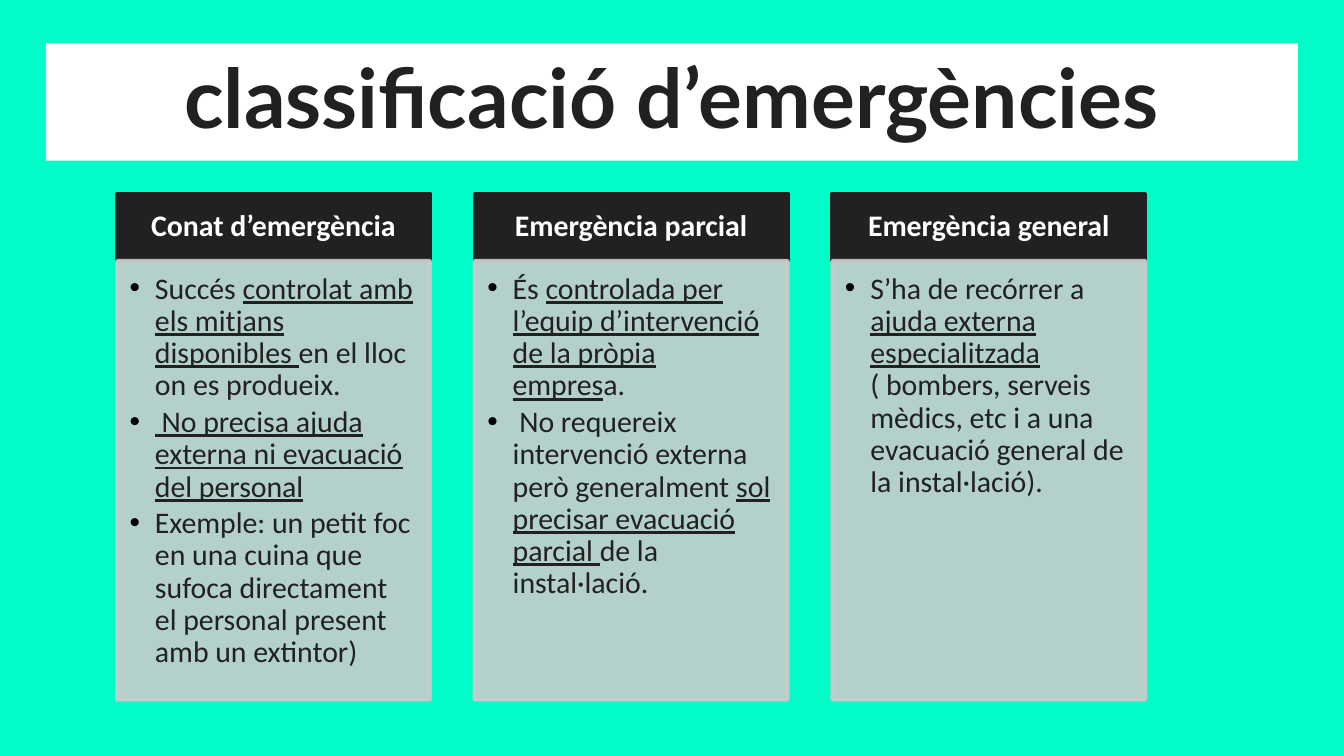
from dataclasses import dataclass

from lxml.etree import SubElement
from pptx import Presentation
from pptx.dml.color import RGBColor
from pptx.enum.shapes import MSO_SHAPE
from pptx.enum.text import MSO_ANCHOR, PP_ALIGN
from pptx.oxml.ns import qn
from pptx.util import Cm, Pt


@dataclass(frozen=True)
class Theme:
    """Hold the colours, fonts and type sizes of the slide."""
    back: str = "00FDC8"
    paper: str = "FFFFFF"
    ink: str = "212121"
    panel: str = "CBCBCB"
    bullet: str = "000000"
    alpha: int = 89
    title: tuple = ("Lato", 44)
    text: tuple = ("Calibri", 16)


def assign(target, values):
    """Set each attribute of the target from a dict."""
    for name, value in values.items():
        setattr(target, name, value)


class Canvas:
    """Draw elements on one slide in one theme."""

    def __init__(self, slide, theme):
        """Keep the slide and theme, and paint the background."""
        self.slide, self.theme = slide, theme
        fill = slide.background.fill
        fill.solid()
        fill.fore_color.rgb = RGBColor.from_string(theme.back)

    def box(self, place, color, inset, line=True, alpha=100):
        """Add a flat rectangle and return it."""
        shape = self.slide.shapes.add_shape(MSO_SHAPE.RECTANGLE, *map(Cm, place))
        shape.shadow.inherit = False
        rgb = RGBColor.from_string(color)
        shape.fill.solid()
        shape.fill.fore_color.rgb = rgb
        if line:
            shape.line.color.rgb = rgb
            shape.line.width = Pt(2)
        else:
            shape.line.fill.background()
        if alpha < 100:
            for node in shape.element.spPr.iter(qn("a:srgbClr")):
                SubElement(node, qn("a:alpha"), val=str(alpha * 1000))
        sides = ("margin_left", "margin_top", "margin_right", "margin_bottom")
        assign(shape.text_frame, dict(zip(sides, map(Cm, inset)), word_wrap=True))
        return shape

    def phrase(self, para, text, style, color, **extra):
        """Add one styled run to a paragraph."""
        run = para.add_run()
        run.text = text
        face, size = style
        assign(run.font, {"name": face, "size": Pt(size), **extra})
        run.font.color.rgb = RGBColor.from_string(color)

    def label(self, place, text, fill, color, style, inset, line=True):
        """Add a rectangle with one bold centred line."""
        frame = self.box(place, fill, inset, line).text_frame
        frame.vertical_anchor = MSO_ANCHOR.MIDDLE
        para = frame.paragraphs[0]
        assign(para, {"alignment": PP_ALIGN.CENTER, "line_spacing": 0.9})
        self.phrase(para, text, style, color, bold=True)

    def points(self, place, items):
        """Add a translucent panel of bullets, underlining text between bars."""
        theme = self.theme
        inset = (0.24, 0.24, 0.32, 0.36)
        frame = self.box(place, theme.panel, inset, alpha=theme.alpha).text_frame
        frame.vertical_anchor = MSO_ANCHOR.TOP
        for rank, item in enumerate(items):
            para = frame.add_paragraph() if rank else frame.paragraphs[0]
            assign(para, {"alignment": PP_ALIGN.LEFT, "level": 1, "line_spacing": 0.9,
                          "space_before": Pt(2.4 if rank else 0)})
            self.mark(para)
            for turn, part in enumerate(item.split("|")):
                if part:
                    self.phrase(para, part, theme.text, theme.ink, underline=turn % 2 == 1)

    def mark(self, para):
        """Give a paragraph a hanging round bullet."""
        node = para._p.get_or_add_pPr()
        node.set("marL", str(Cm(0.48)))
        node.set("indent", str(-Cm(0.48)))
        tint = SubElement(node, qn("a:buClr"))
        SubElement(tint, qn("a:srgbClr"), val=self.theme.bullet)
        SubElement(node, qn("a:buFont"), typeface="Arial")
        SubElement(node, qn("a:buChar"), char="•")


COLUMNS = {
    "Conat d’emergència": [
        "Succés |controlat amb els mitjans disponibles |en el lloc on es produeix.",
        "| No precisa ajuda externa ni evacuació del personal|",
        "Exemple: un petit foc en una cuina que sufoca directament "
        "el personal present amb un extintor)",
    ],
    "Emergència parcial": [
        "És |controlada per l’equip d’intervenció de la pròpia empres|a.",
        " No requereix intervenció externa però generalment "
        "|sol precisar evacuació parcial |de la instal·lació.",
    ],
    "Emergència general": [
        "S’ha de recórrer a |ajuda externa especialitzada |( bombers, serveis mèdics, "
        "etc i a una evacuació general de la instal·lació).",
    ],
}


def main():
    """Build the slide and save it."""
    deck = Presentation()
    assign(deck, {"slide_width": Cm(25.4), "slide_height": Cm(14.29)})
    theme = Theme()
    canvas = Canvas(deck.slides.add_slide(deck.slide_layouts[6]), theme)
    canvas.label((0.87, 0.82, 23.66, 2.22), "classificació d’emergències",
                 theme.paper, theme.ink, theme.title, (0.25,) * 4, line=False)
    left, top, width, step = 2.21, 3.66, 5.92, 6.76
    head, body = 1.27, 8.3
    for rank, (name, items) in enumerate(COLUMNS.items()):
        start = left + rank * step
        canvas.label((start, top, width, head), name,
                     theme.ink, theme.paper, theme.text, (0.3, 0.18, 0.3, 0.18))
        canvas.points((start, top + head, width, body), items)
    deck.save("out.pptx")


if __name__ == "__main__":
    main()
